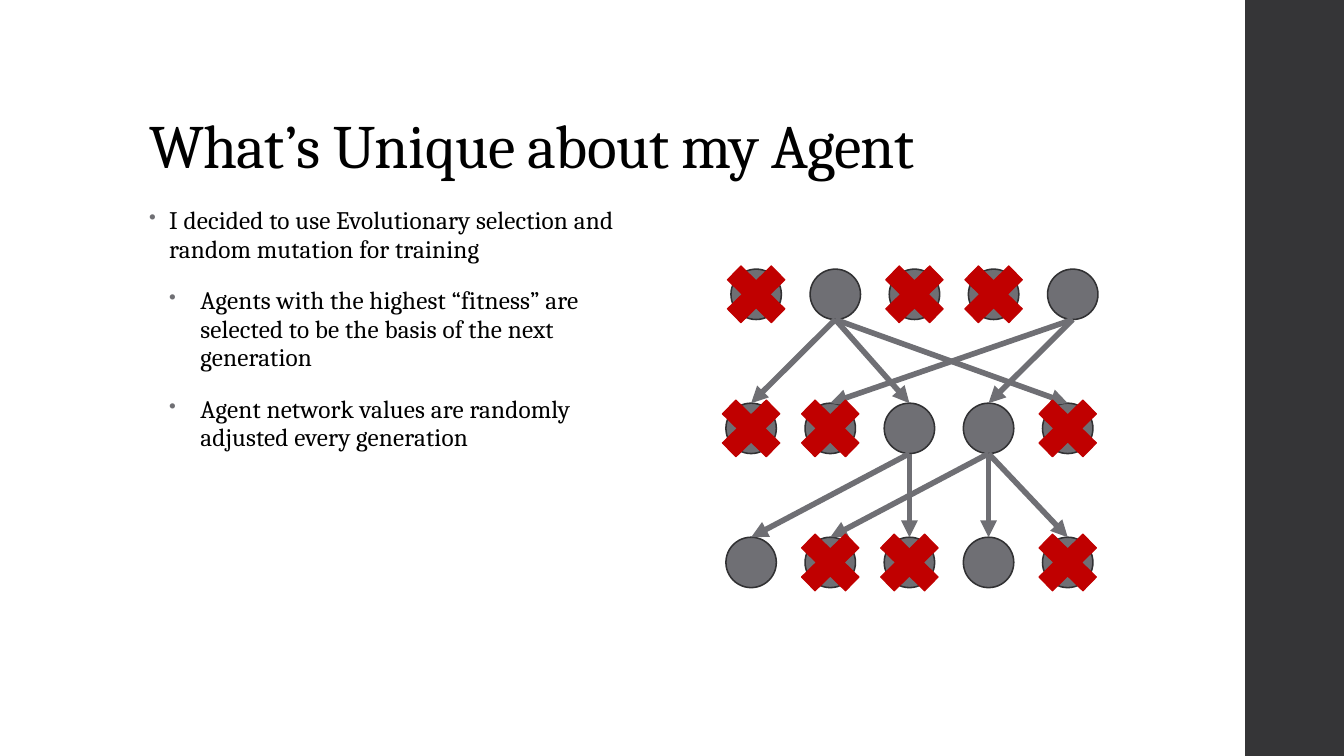
from dataclasses import dataclass

from lxml import etree
from pptx import Presentation
from pptx import util as u
from pptx.dml.color import RGBColor
from pptx.enum import shapes, text
from pptx.oxml import ns


@dataclass(frozen=True)
class Theme:
    """Colours, font and type sizes of the deck."""
    ink: str = "000000"
    sidebar: str = "353537"
    gray: str = "6F6F74"
    outline: str = "313133"
    red: str = "C00000"
    font: str = "Cambria"
    title_size: int = 44
    body_size: int = 18


THEME = Theme()
BULLETS = [
    (0.2, 0.2, "I decided to use Evolutionary selection and random mutation for training"),
    (0.51, 0.31, "Agents with the highest “fitness” are selected to be the basis of the next generation"),
    (0.51, 0.31, "Agent network values are randomly adjusted every generation"),
]
SURVIVORS = [{1, 4}, {2, 3}, {0, 3}]
OFFSPRING = [
    {1: (0, 2, 4), 4: (3, 1)},
    {2: (2, 0), 3: (1, 3, 4)},
]


def add_child(parent, tag, **attributes):
    """Append a DrawingML element to a parent element."""
    return etree.SubElement(parent, ns.qn(tag), attributes)


def style_text(para, size, tracking):
    """Set font, size, colour and letter spacing of the runs."""
    for span in para.runs:
        span.font.name = THEME.font
        span.font.size = u.Pt(size)
        span.font.color.rgb = RGBColor.from_string(THEME.ink)
        span.font._element.set("spc", str(tracking))


def add_text_box(page, left, top, width, height):
    """Add a wrapping text box and return its text frame."""
    box = page.shapes.add_textbox(*map(u.Inches, (left, top, width, height)))
    box.text_frame.word_wrap = True
    return box.text_frame


def add_filled(page, kind, box, fill, line=None, line_width=0):
    """Add a flat preset shape in the given box."""
    shape = page.shapes.add_shape(kind, *map(u.Inches, box))
    shape.shadow.inherit = False
    shape.fill.solid()
    shape.fill.fore_color.rgb = RGBColor.from_string(fill)
    if line:
        shape.line.color.rgb = RGBColor.from_string(line)
        shape.line.width = u.Pt(line_width)
    else:
        shape.line.fill.background()


def add_arrow(page, start, end):
    """Draw an arrow from a parent to its offspring."""
    arrow = page.shapes.add_connector(
        shapes.MSO_CONNECTOR.STRAIGHT, *map(u.Inches, (*start, *end)))
    arrow.line.color.rgb = RGBColor.from_string(THEME.gray)
    arrow.line.width = u.Pt(4)
    add_child(arrow.line._get_or_add_ln(), "a:tailEnd", type="triangle")
    add_child(arrow._element.spPr, "a:effectLst")


def add_title(page, left, top, width, height):
    """Write the slide title at the bottom of its box."""
    frame = add_text_box(page, left, top, width, height)
    frame.vertical_anchor = text.MSO_ANCHOR.BOTTOM
    frame.text = "What’s Unique about my Agent"
    para = frame.paragraphs[0]
    para.line_spacing = 0.9
    style_text(para, THEME.title_size, -50)


def add_bullets(page, left, top, width, height):
    """Write the bulleted explanation."""
    frame = add_text_box(page, left, top, width, height)
    for index, (margin, hanging, words) in enumerate(BULLETS):
        para = frame.add_paragraph() if index else frame.paragraphs[0]
        para.text = words
        props = para._p.get_or_add_pPr()
        props.set("marL", str(u.Inches(margin)))
        props.set("indent", str(-u.Inches(hanging)))
        add_child(add_child(props, "a:buClr"), "a:srgbClr", val=THEME.gray)
        add_child(props, "a:buSzPct", val="80000")
        add_child(props, "a:buChar", char="•")
        para.line_spacing = 0.95
        para.space_before = u.Pt(14 if index else 0)
        para.space_after = u.Pt(2)
        style_text(para, THEME.body_size, 10)


def add_generations(page, left, top, width, height):
    """Draw the generations, their descent and the rejected agents."""
    size, columns, first_shift = 0.5, 5, 0.05
    column_gap = (width - first_shift - size) / (columns - 1)
    row_gap = (height - size) / (len(SURVIVORS) - 1)

    def center(row, column):
        """Return the centre of an agent."""
        shift = first_shift if row == 0 else 0
        return (left + shift + size / 2 + column * column_gap,
                top + size / 2 + row * row_gap)

    def around(row, column, wide, high):
        """Return a box centred on an agent."""
        x, y = center(row, column)
        return x - wide / 2, y - high / 2, wide, high

    agents = [(row, column) for row in range(len(SURVIVORS)) for column in range(columns)]
    for row, column in agents:
        add_filled(page, shapes.MSO_SHAPE.FLOWCHART_CONNECTOR,
                   around(row, column, size, size), THEME.gray, THEME.outline, 1.1)
    for row, families in enumerate(OFFSPRING):
        for parent, children in families.items():
            x, y = center(row, parent)
            for child in children:
                child_x, child_y = center(row + 1, child)
                add_arrow(page, (x, y + size / 2), (child_x, child_y - size / 2))
    for row, column in agents:
        if column not in SURVIVORS[row]:
            add_filled(page, shapes.MSO_SHAPE.MATH_MULTIPLY,
                       around(row, column, 0.84, 0.82), THEME.red, THEME.red)


def main():
    """Build the deck and save it."""
    deck = Presentation()
    deck.slide_width, deck.slide_height = u.Inches(13.33), u.Inches(7.5)
    page = deck.slides.add_slide(deck.slide_layouts[6])
    add_filled(page, shapes.MSO_SHAPE.RECTANGLE, (12.35, 0, 0.98, 7.5), THEME.sidebar)
    add_title(page, 1.38, 0.4, 10.6, 1.45)
    add_bullets(page, 1.38, 2, 4.9, 4.76)
    add_generations(page, 7.2, 2.67, 3.69, 3.16)
    deck.save("out.pptx")


if __name__ == "__main__":
    main()
